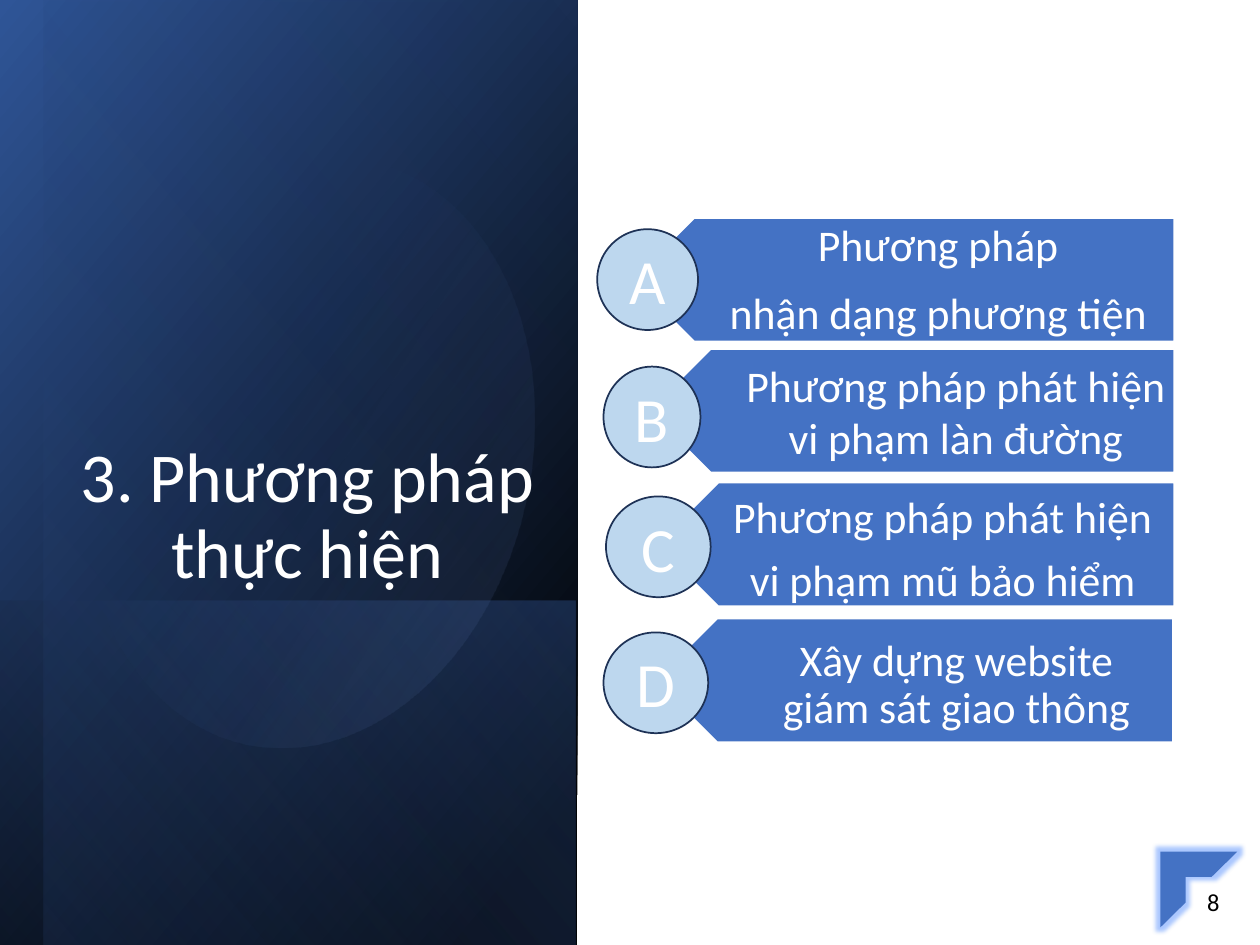
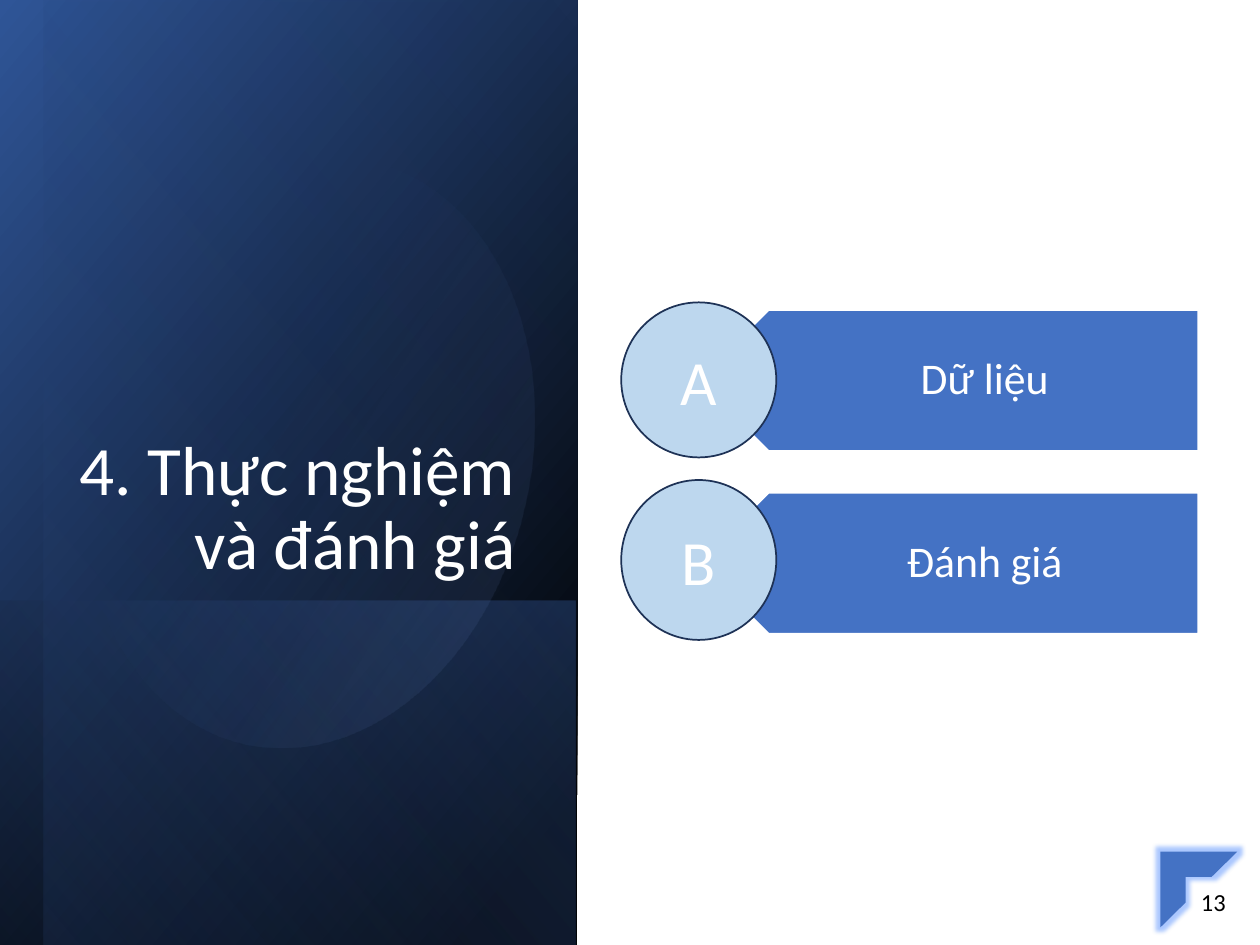
from lxml import etree
from pptx import Presentation
from pptx.dml.color import RGBColor
from pptx.enum.shapes import MSO_SHAPE
from pptx.enum.text import MSO_ANCHOR, PP_ALIGN
from pptx.oxml.ns import qn
from pptx.util import Pt

RECT, OVAL = MSO_SHAPE.RECTANGLE, MSO_SHAPE.OVAL
PENTAGON, HALF_FRAME = MSO_SHAPE.PENTAGON, MSO_SHAPE.HALF_FRAME
CENTER, RIGHT = PP_ALIGN.CENTER, PP_ALIGN.RIGHT
MIDDLE, BOTTOM = MSO_ANCHOR.MIDDLE, MSO_ANCHOR.BOTTOM

FONT = "Calibri"
WHITE = RGBColor(0xFF, 0xFF, 0xFF)
BLACK = RGBColor(0, 0, 0)
BLUE = RGBColor(0x44, 0x72, 0xC4)
DEEP_BLUE = RGBColor(0x2F, 0x55, 0x97)
SOFT_BLUE = RGBColor(0x8F, 0xAA, 0xDC)
PALE_BLUE = RGBColor(0xBD, 0xD7, 0xEE)
NAVY = RGBColor(0x1E, 0x32, 0x56)
GLOW = RGBColor(0x2E, 0x75, 0xFF)

PANEL_LAYERS = [
    (RECT, (-105, 105, 540, 330), 90, 50,
     [(0.08, BLACK, 100), (1, DEEP_BLUE, 100)]),
    (RECT, (65.5, 277.2, 197.3, 329), 90, 130,
     [(0.02, BLUE, 29), (1, BLACK, 30)]),
    (RECT, (-92.9, 118.1, 540, 304.6), 90, 130,
     [(0, BLACK, 0), (0.99, BLUE, 11)]),
    (OVAL, (5.8, 131, 339.8, 254.9), 101.6, 290,
     [(0.39, BLUE, 0), (1, SOFT_BLUE, 15)]),
]

METHODS = [
    (["Phương pháp", "nhận dạng phương tiện"], 1,
     (361.4, 124.6, 309.6, 70.6), (382.3, 136.1, 290.2, 45.4)),
    (["Phương pháp phát hiện vi phạm làn đường"], 1,
     (370.8, 199.4, 300.2, 70.6), (389.5, 199.4, 295.9, 70.6)),
    (["Phương pháp phát hiện", "vi phạm mũ bảo hiểm"], 0.9,
     (375.1, 275.8, 295.9, 70.6), (357.8, 279.4, 344.2, 70.6)),
    (["Xây dựng website giám sát giao thông"], 0.9,
     (374.4, 353.5, 295.9, 70.6), (403.2, 356.4, 269.3, 70.6)),
]
METHOD_BADGES = [
    ("A", (341.3, 131, 57.6, 57.6)),
    ("B", (344.9, 209.5, 55.4, 57.6)),
    ("C", (346.3, 283.7, 59.8, 57.6)),
    ("D", (344.9, 361.4, 59.8, 57.6)),
]
EXPERIMENTS = [
    (["Dữ liệu"], 0.9,
     (398.9, 177.1, 285.8, 80.6), (419, 177.1, 265.7, 80.6)),
    (["Đánh giá"], 0.9,
     (398.9, 281.5, 285.8, 80.6), (419, 281.5, 265.7, 80.6)),
]
EXPERIMENT_BADGES = [
    ("A", (355, 172.8, 88.6, 88.6)),
    ("B", (355, 274.3, 88.6, 91.4)),
]


def add_shape(s, kind, box, fill=None, line=None, rotation=0):
    """Add a preset shape without shadow."""
    sp = s.shapes.add_shape(kind, *map(Pt, box))
    sp.shadow.inherit = False
    sp.rotation = rotation
    if fill is not None:
        sp.fill.solid()
        sp.fill.fore_color.rgb = fill
    if line is None:
        sp.line.fill.background()
    else:
        sp.line.color.rgb = line
        sp.line.width = Pt(1)
    return sp


def set_alpha(color, percent):
    """Set the opacity of a colour element."""
    etree.SubElement(color, qn("a:alpha")).set("val", str(percent * 1000))


def set_gradient(sp, angle, stops):
    """Fill a shape with a two-stop gradient of partly clear colours."""
    sp.fill.gradient()
    sp.fill.gradient_angle = 360 - angle
    for stop, (position, color, alpha) in zip(sp.fill.gradient_stops, stops):
        stop.position = position
        stop.color.rgb = color
    colors = sp._element.spPr.findall(".//" + qn("a:srgbClr"))
    for color, (_, _, alpha) in zip(colors, stops):
        set_alpha(color, alpha)


def add_glow(sp, radius):
    """Put a soft blue glow around a shape."""
    effects = sp._element.spPr.find(qn("a:effectLst"))
    glow = etree.SubElement(effects, qn("a:glow"), rad=str(Pt(radius)))
    color = etree.SubElement(glow, qn("a:srgbClr"), val=str(GLOW))
    set_alpha(color, 40)


def write(sp, paragraphs, size, color=WHITE, align=CENTER, anchor=MIDDLE,
          spacing=1, after=0, margins=(7.2, 3.6, 7.2, 3.6)):
    """Write formatted paragraphs into a shape."""
    tf = sp.text_frame
    tf.word_wrap = True
    tf.vertical_anchor = anchor
    (tf.margin_left, tf.margin_top,
     tf.margin_right, tf.margin_bottom) = map(Pt, margins)
    for i, text in enumerate(paragraphs):
        p = tf.add_paragraph() if i else tf.paragraphs[0]
        p.alignment = align
        p.line_spacing = spacing
        p.space_after = Pt(after)
        r = p.add_run()
        r.text = text
        r.font.name = FONT
        r.font.size = Pt(size)
        r.font.color.rgb = color


def add_text(s, box, paragraphs, size, **style):
    """Add a text box."""
    write(s.shapes.add_textbox(*map(Pt, box)), paragraphs, size, **style)


def add_panel(s):
    """Add the layered dark panel on the left."""
    for kind, box, rotation, angle, stops in PANEL_LAYERS:
        sp = add_shape(s, kind, box, rotation=rotation)
        set_gradient(sp, angle, stops)
        if kind == RECT:
            sp._element.spPr.xfrm.set("flipH", "1")


def add_page_number(s, number):
    """Add the glowing corner with the page number."""
    add_glow(add_shape(s, HALF_FRAME, (663.1, 486.7, 43.9, 43.2), BLUE), 5)
    add_text(s, (666.7, 501.1, 53.3, 28.8), [number], 14, color=BLACK)


def add_arrow(s, lines, spacing, arrow_box, text_box, indent):
    """Add a left-pointing arrow with its label."""
    add_shape(s, PENTAGON, arrow_box, BLUE, WHITE, 180)
    add_text(s, text_box, lines, 25, spacing=spacing, after=8.75,
             margins=(indent, 7.2, 13.7, 7.2))


def add_badge(s, letter, box):
    """Add a circle with a letter."""
    write(add_shape(s, OVAL, box, PALE_BLUE, NAVY), [letter], 36)


def add_section(prs, title, title_box, title_size, align, number,
                arrows, badges, indent):
    """Add one section slide."""
    s = prs.slides.add_slide(prs.slide_layouts[6])
    add_panel(s)
    add_text(s, title_box, [title], title_size, align=align, anchor=BOTTOM,
             spacing=0.9)
    add_page_number(s, number)
    for arrow in arrows:
        add_arrow(s, *arrow, indent)
    for badge in badges:
        add_badge(s, *badge)


def main():
    """Build and save the presentation."""
    prs = Presentation()
    prs.slide_width, prs.slide_height = Pt(720), Pt(540)
    add_section(prs, "3. Phương pháp thực hiện", (35.3, 233.3, 280.8, 109.4),
                40, CENTER, "8", METHODS, METHOD_BADGES, 31)
    add_section(prs, "4. Thực nghiệm và đánh giá", (20.9, 202.3, 280.8, 135.4),
                39.6, RIGHT, "13", EXPERIMENTS, EXPERIMENT_BADGES, 35.3)
    prs.save("out.pptx")


if __name__ == "__main__":
    main()
